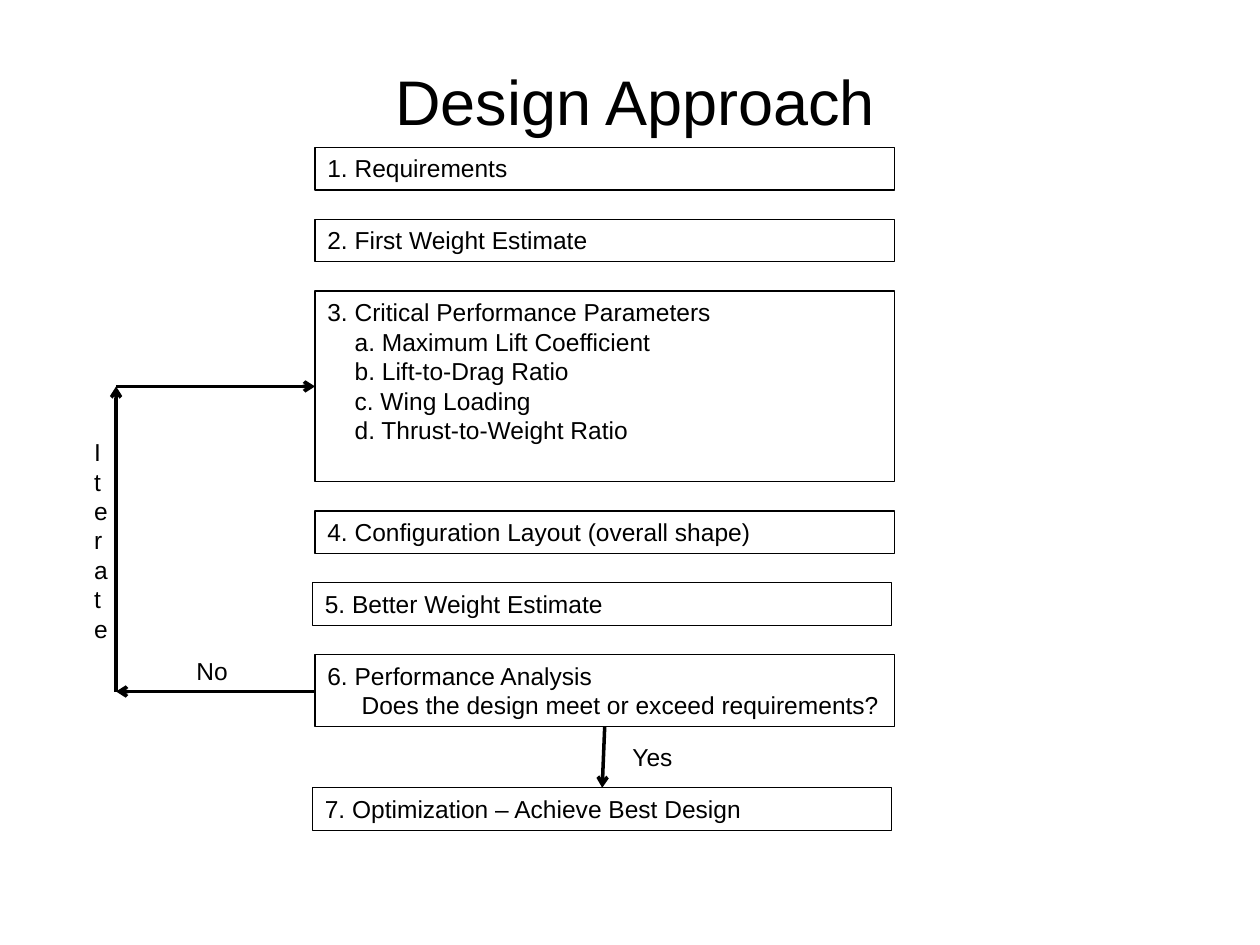
from dataclasses import dataclass
from typing import NamedTuple

from lxml import etree
from pptx import Presentation
from pptx.dml.color import RGBColor
from pptx.enum import shapes, text
from pptx.oxml import ns
from pptx.util import Cm, Pt


@dataclass(frozen=True)
class Theme:
    font: str = "Arial"
    ink: RGBColor = RGBColor(0x00, 0x00, 0x00)
    title: float = 36
    body: float = 14
    border: float = 0.75
    arrow: float = 2


class Step(NamedTuple):
    heading: str
    details: tuple[str, ...] = ()
    height: float = 0.86
    left: float = 6.35
    indent: float = 0
    gap: float = 0.59


class Label(NamedTuple):
    words: str
    left: float
    top: float
    width: float
    height: float = 0.86


class Arrow(NamedTuple):
    start: tuple[float, float]
    end: tuple[float, float]


THEME = Theme()
STEP_WIDTH, FIRST_TOP = 11.68, 2.97
NUDGED = 6.3
STEPS = [
    Step("1. Requirements"),
    Step("2. First Weight Estimate"),
    Step("3. Critical Performance Parameters",
         ("a. Maximum Lift Coefficient", "b. Lift-to-Drag Ratio",
          "c. Wing Loading", "d. Thrust-to-Weight Ratio"),
         height=3.84, indent=0.55),
    Step("4. Configuration Layout (overall shape)"),
    Step("5. Better Weight Estimate", left=NUDGED),
    Step("6. Performance Analysis", ("Does the design meet or exceed requirements?",),
         height=1.45, indent=0.69, gap=1.23),
    Step("7. Optimization – Achieve Best Design", left=NUDGED),
]
LABELS = [
    Label("Yes", 12.5, 14.83, 2.11),
    Label("No", 3.71, 13.11, 1.37),
    Label("Iterate", 1.65, 8.69, 0.69, 4.45),
]
LOOP_X, LOOP_TOP, LOOP_BOTTOM = 2.34, 7.79, 13.94
ARROWS = [
    Arrow((12.19, 14.65), (12.14, 15.88)),
    Arrow((6.35, LOOP_BOTTOM), (LOOP_X, LOOP_BOTTOM)),
    Arrow((LOOP_X, LOOP_BOTTOM), (LOOP_X, LOOP_TOP)),
    Arrow((LOOP_X, LOOP_TOP), (6.35, LOOP_TOP)),
]


def style_text(tf, size: float, align=text.PP_ALIGN.LEFT, anchor=text.MSO_ANCHOR.TOP) -> None:
    """Apply the theme font and the given layout to a text frame."""
    tf.word_wrap = True
    tf.auto_size = text.MSO_AUTO_SIZE.NONE
    tf.vertical_anchor = anchor
    for p in tf.paragraphs:
        p.alignment = align
        for r in p.runs:
            r.font.name, r.font.size = THEME.font, Pt(size)
            r.font.color.rgb = THEME.ink


def add_title(slide, words: str) -> None:
    """Fill and place the title placeholder."""
    sp = slide.shapes.title
    sp.left, sp.top, sp.width, sp.height = Cm(1.91), Cm(0.43), Cm(21.79), Cm(3.18)
    sp.text_frame.text = words
    style_text(sp.text_frame, THEME.title, text.PP_ALIGN.CENTER, text.MSO_ANCHOR.MIDDLE)


def add_step(slide, step: Step, top: float) -> None:
    """Draw one outlined step with its indented details."""
    sp = slide.shapes.add_shape(shapes.MSO_SHAPE.RECTANGLE, Cm(step.left), Cm(top),
                                Cm(STEP_WIDTH), Cm(step.height))
    sp.shadow.inherit = False
    sp.fill.background()
    sp.line.color.rgb, sp.line.width = THEME.ink, Pt(THEME.border)
    tf = sp.text_frame
    tf.text = "\n".join((step.heading, *step.details))
    style_text(tf, THEME.body)
    for p in tf.paragraphs[1:]:
        p._p.get_or_add_pPr().set("marL", str(Cm(step.indent)))


def add_label(slide, label: Label) -> None:
    """Draw one plain text label."""
    sp = slide.shapes.add_textbox(Cm(label.left), Cm(label.top), Cm(label.width), Cm(label.height))
    sp.text_frame.text = label.words
    style_text(sp.text_frame, THEME.body)


def add_arrow(slide, arrow: Arrow) -> None:
    """Draw one straight line with an open arrowhead at its end."""
    points = (Cm(n) for n in (*arrow.start, *arrow.end))
    sp = slide.shapes.add_connector(shapes.MSO_CONNECTOR.STRAIGHT, *points)
    sp.line.color.rgb, sp.line.width = THEME.ink, Pt(THEME.arrow)
    etree.SubElement(sp.line._get_or_add_ln(), ns.qn("a:tailEnd"), type="arrow")
    etree.SubElement(sp._element.spPr, ns.qn("a:effectLst"))


def main() -> None:
    """Build and save the design approach slide."""
    prs = Presentation()
    prs.slide_width, prs.slide_height = Cm(25.4), Cm(19.05)
    slide = prs.slides.add_slide(prs.slide_layouts[5])
    add_title(slide, "Design Approach")
    top = FIRST_TOP
    for step in STEPS:
        add_step(slide, step, top)
        top += step.height + step.gap
    for arrow in ARROWS:
        add_arrow(slide, arrow)
    for label in LABELS:
        add_label(slide, label)
    prs.save("out.pptx")


if __name__ == "__main__":
    main()
